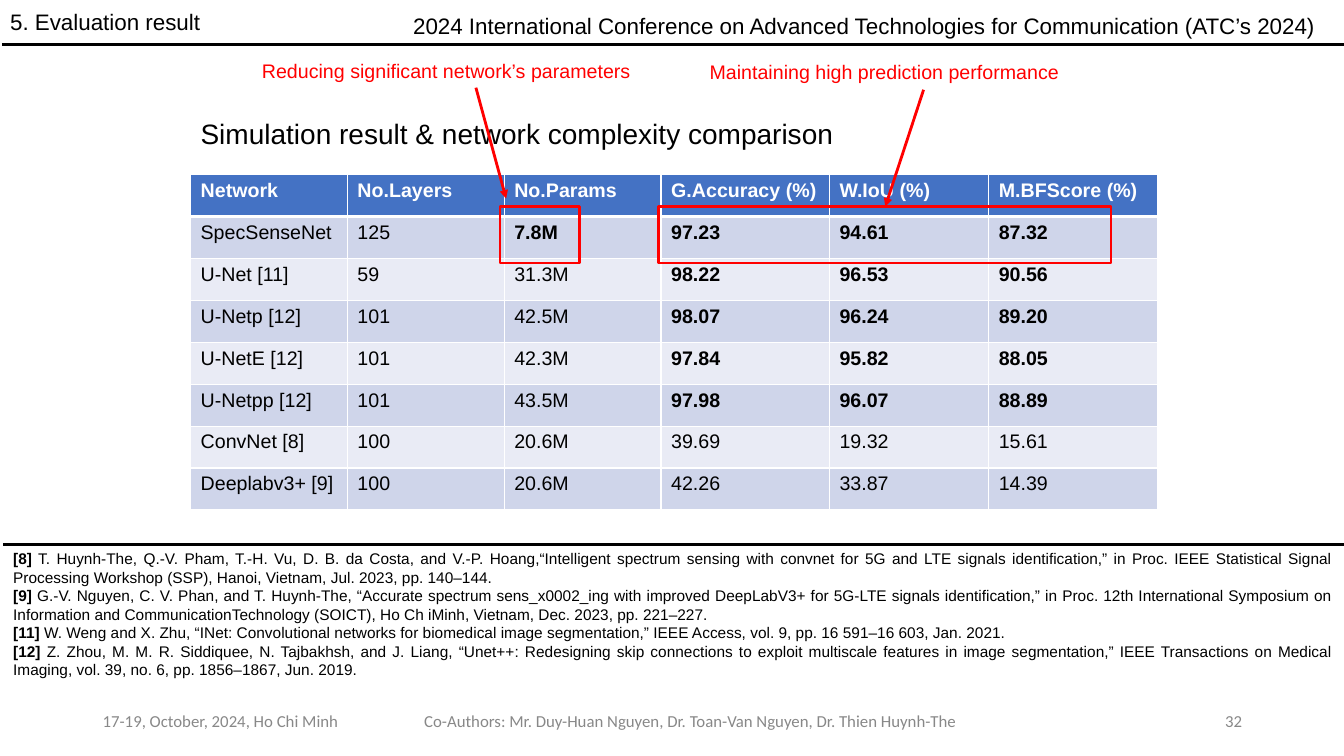
from dataclasses import dataclass
from typing import NamedTuple

from lxml import etree
from pptx import Presentation
from pptx.dml.color import RGBColor
from pptx.enum.shapes import MSO_CONNECTOR, MSO_SHAPE
from pptx.enum.text import MSO_ANCHOR, MSO_AUTO_SIZE, PP_ALIGN
from pptx.oxml.ns import qn
from pptx.util import Emu, Inches, Pt

BLACK = RGBColor(0x00, 0x00, 0x00)
WHITE = RGBColor(0xFF, 0xFF, 0xFF)
RED = RGBColor(0xFF, 0x00, 0x00)
GREY = RGBColor(0x88, 0x88, 0x88)
HEADER_BLUE = RGBColor(0x44, 0x72, 0xC4)
BAND_DARK = RGBColor(0xCF, 0xD5, 0xEA)
BAND_LIGHT = RGBColor(0xE9, 0xEB, 0xF5)

LEFT, CENTER, RIGHT, JUSTIFY = PP_ALIGN.LEFT, PP_ALIGN.CENTER, PP_ALIGN.RIGHT, PP_ALIGN.JUSTIFY
TOP, MIDDLE = MSO_ANCHOR.TOP, MSO_ANCHOR.MIDDLE
FIXED_SIZE = MSO_AUTO_SIZE.NONE
STRAIGHT = MSO_CONNECTOR.STRAIGHT
RECTANGLE = MSO_SHAPE.RECTANGLE

SLIDE_WIDTH, SLIDE_HEIGHT = Inches(13.33), Inches(7.5)
TITLE_AND_CONTENT = 1
LINE_WIDTH = Pt(2)


def across(percent: float) -> Emu:
    return Emu(round(SLIDE_WIDTH * percent / 100))


def down(percent: float) -> Emu:
    return Emu(round(SLIDE_HEIGHT * percent / 100))


class Box(NamedTuple):
    left: float
    top: float
    width: float
    height: float

    def lengths(self) -> tuple:
        return across(self.left), down(self.top), across(self.width), down(self.height)


@dataclass
class Label:
    text: str
    box: Box
    size: float
    color: RGBColor = BLACK
    font: str = "Arial"
    alignment: PP_ALIGN = LEFT
    anchor: MSO_ANCHOR = TOP


@dataclass
class Line:
    start: tuple
    end: tuple
    color: RGBColor = BLACK
    arrow: bool = False


class NetworkRow(NamedTuple):
    cells: tuple
    first_bold_column: int


class Reference(NamedTuple):
    mark: str
    citation: str


TITLE = Label("5. Evaluation result", Box(0, 0.4, 24.76, 5.33), 16)
LABELS = [
    Label("2024 International Conference on Advanced Technologies for Communication (ATC’s 2024)",
          Box(30, 0.93, 70, 4.93), 16),
    Label("17-19, October, 2024, Ho Chi Minh", Box(6.9, 92.67, 22.5, 5.33), 12, GREY, "Calibri", LEFT, MIDDLE),
    Label("32", Box(70.67, 92.67, 22.5, 5.33), 12, GREY, "Calibri", RIGHT, MIDDLE),
    Label("Co-Authors: Mr. Duy-Huan Nguyen, Dr. Toan-Van Nguyen, Dr. Thien Huynh-The",
          Box(29.4, 92.67, 43.96, 5.33), 12, GREY, "Calibri", CENTER, MIDDLE),
    Label("Simulation result & network complexity comparison", Box(14.18, 14.8, 48.99, 5.87), 20),
    Label("Reducing significant network’s parameters", Box(18.75, 7.07, 33.31, 4.53), 14, RED),
    Label("Maintaining high prediction performance", Box(52.06, 7.33, 33.31, 4.53), 14, RED),
]
LINES = [
    Line((0.15, 5.87), (100, 5.87)),
    Line((0.23, 72), (100, 72)),
    Line((35.41, 11.6), (37.66, 26.27), RED, True),
    Line((68.72, 11.87), (65.87, 27.33), RED, True),
]
HIGHLIGHTS = [Box(37.21, 27.33, 5.93, 7.47), Box(48.99, 27.33, 33.68, 7.47)]

COLUMN_WIDTHS = (11.67, 11.67, 11.67, 12.53, 11.85, 12.53)
ROW_HEIGHT = 5.55
NETWORK_ROWS = [
    NetworkRow(("Network", "No.Layers", "No.Params", "G.Accuracy (%)", "W.IoU (%)", "M.BFScore (%)"), 0),
    NetworkRow(("SpecSenseNet", "125", "7.8M", "97.23", "94.61", "87.32"), 2),
    NetworkRow(("U-Net [11]", "59", "31.3M", "98.22", "96.53", "90.56"), 3),
    NetworkRow(("U-Netp [12]", "101", "42.5M", "98.07", "96.24", "89.20"), 3),
    NetworkRow(("U-NetE [12]", "101", "42.3M", "97.84", "95.82", "88.05"), 3),
    NetworkRow(("U-Netpp [12]", "101", "43.5M", "97.98", "96.07", "88.89"), 3),
    NetworkRow(("ConvNet [8]", "100", "20.6M", "39.69", "19.32", "15.61"), 6),
    NetworkRow(("Deeplabv3+ [9]", "100", "20.6M", "42.26", "33.87", "14.39"), 6),
]
TABLE_BOX = Box(14.18, 23.07, sum(COLUMN_WIDTHS), ROW_HEIGHT * len(NETWORK_ROWS))

REFERENCES_BOX = Box(0.23, 72, 99.77, 21.07)
REFERENCES = [
    Reference("[8]", " T. Huynh-The, Q.-V. Pham, T.-H. Vu, D. B. da Costa, and V.-P. Hoang,“Intelligent spectrum sensing with convnet for 5G and LTE signals identification,” in Proc. IEEE Statistical Signal Processing Workshop (SSP), Hanoi, Vietnam, Jul. 2023, pp. 140–144."),
    Reference("[9]", " G.-V. Nguyen, C. V. Phan, and T. Huynh-The, “Accurate spectrum sens_x0002_ing with improved DeepLabV3+ for 5G-LTE signals identification,” in Proc. 12th International Symposium on Information and CommunicationTechnology (SOICT), Ho Ch iMinh, Vietnam, Dec. 2023, pp. 221–227."),
    Reference("[11]", " W. Weng and X. Zhu, “INet: Convolutional networks for biomedical image segmentation,” IEEE Access, vol. 9, pp. 16 591–16 603, Jan. 2021."),
    Reference("[12]", " Z. Zhou, M. M. R. Siddiquee, N. Tajbakhsh, and J. Liang, “Unet++: Redesigning skip connections to exploit multiscale features in image segmentation,” IEEE Transactions on Medical Imaging, vol. 39, no. 6, pp. 1856–1867, Jun. 2019."),
]


def place(shape, box: Box) -> None:
    shape.left, shape.top, shape.width, shape.height = box.lengths()


def set_font(paragraph, name: str, size: float, color: RGBColor) -> None:
    paragraph.font.name = name
    paragraph.font.size = Pt(size)
    paragraph.font.color.rgb = color


def write_label(shape, label: Label) -> None:
    frame = shape.text_frame
    frame.word_wrap = True
    frame.auto_size = FIXED_SIZE
    frame.vertical_anchor = label.anchor
    paragraph = frame.paragraphs[0]
    paragraph.text = label.text
    paragraph.alignment = label.alignment
    set_font(paragraph, label.font, label.size, label.color)


def draw_line(slide, line: Line) -> None:
    connector = slide.shapes.add_connector(
        STRAIGHT, across(line.start[0]), down(line.start[1]), across(line.end[0]), down(line.end[1]))
    connector.line.color.rgb = line.color
    connector.line.width = LINE_WIDTH
    properties = connector.element.spPr
    if line.arrow:
        etree.SubElement(properties.find(qn("a:ln")), qn("a:tailEnd"), type="triangle")
    etree.SubElement(properties, qn("a:effectLst"))


def draw_highlight(slide, box: Box) -> None:
    shape = slide.shapes.add_shape(RECTANGLE, *box.lengths())
    shape.shadow.inherit = False
    shape.fill.background()
    shape.line.color.rgb = RED
    shape.line.width = LINE_WIDTH


def add_borders(cell, row_index: int) -> None:
    properties = cell._tc.get_or_add_tcPr()
    widths = {"lnL": 1, "lnR": 1, "lnT": 3 if row_index == 1 else 1, "lnB": 3 if row_index == 0 else 1}
    for side, width in widths.items():
        border = etree.SubElement(properties, qn(f"a:{side}"), w=str(Pt(width)))
        fill = etree.SubElement(border, qn("a:solidFill"))
        etree.SubElement(fill, qn("a:srgbClr"), val=str(WHITE))


def draw_table(slide) -> None:
    table = slide.shapes.add_table(len(NETWORK_ROWS), len(COLUMN_WIDTHS), *TABLE_BOX.lengths()).table
    for column, width in zip(table.columns, COLUMN_WIDTHS):
        column.width = across(width)
    for row_index, network in enumerate(NETWORK_ROWS):
        table.rows[row_index].height = down(ROW_HEIGHT)
        band = HEADER_BLUE if row_index == 0 else BAND_DARK if row_index % 2 else BAND_LIGHT
        for column_index, text in enumerate(network.cells):
            cell = table.cell(row_index, column_index)
            add_borders(cell, row_index)
            cell.fill.solid()
            cell.fill.fore_color.rgb = band
            paragraph = cell.text_frame.paragraphs[0]
            paragraph.text = text
            set_font(paragraph, "Arial", 14, BLACK if row_index else WHITE)
            paragraph.font.bold = column_index >= network.first_bold_column


def write_references(body) -> None:
    place(body, REFERENCES_BOX)
    frame = body.text_frame
    frame.auto_size = FIXED_SIZE
    for index, reference in enumerate(REFERENCES):
        paragraph = frame.add_paragraph() if index else frame.paragraphs[0]
        properties = paragraph._p.get_or_add_pPr()
        properties.set("marL", "0")
        properties.set("indent", "0")
        etree.SubElement(properties, qn("a:buNone"))
        paragraph.alignment = JUSTIFY
        paragraph.space_before = Pt(0)
        set_font(paragraph, "Arial", 11, BLACK)
        for text, bold in zip(reference, (True, False)):
            run = paragraph.add_run()
            run.text = text
            run.font.bold = bold


def main() -> None:
    presentation = Presentation()
    presentation.slide_width, presentation.slide_height = SLIDE_WIDTH, SLIDE_HEIGHT
    slide = presentation.slides.add_slide(presentation.slide_layouts[TITLE_AND_CONTENT])
    title, body = slide.placeholders
    place(title, TITLE.box)
    write_label(title, TITLE)
    write_references(body)
    draw_table(slide)
    for label in LABELS:
        write_label(slide.shapes.add_textbox(*label.box.lengths()), label)
    for box in HIGHLIGHTS:
        draw_highlight(slide, box)
    for line in LINES:
        draw_line(slide, line)
    presentation.save("out.pptx")


if __name__ == "__main__":
    main()
